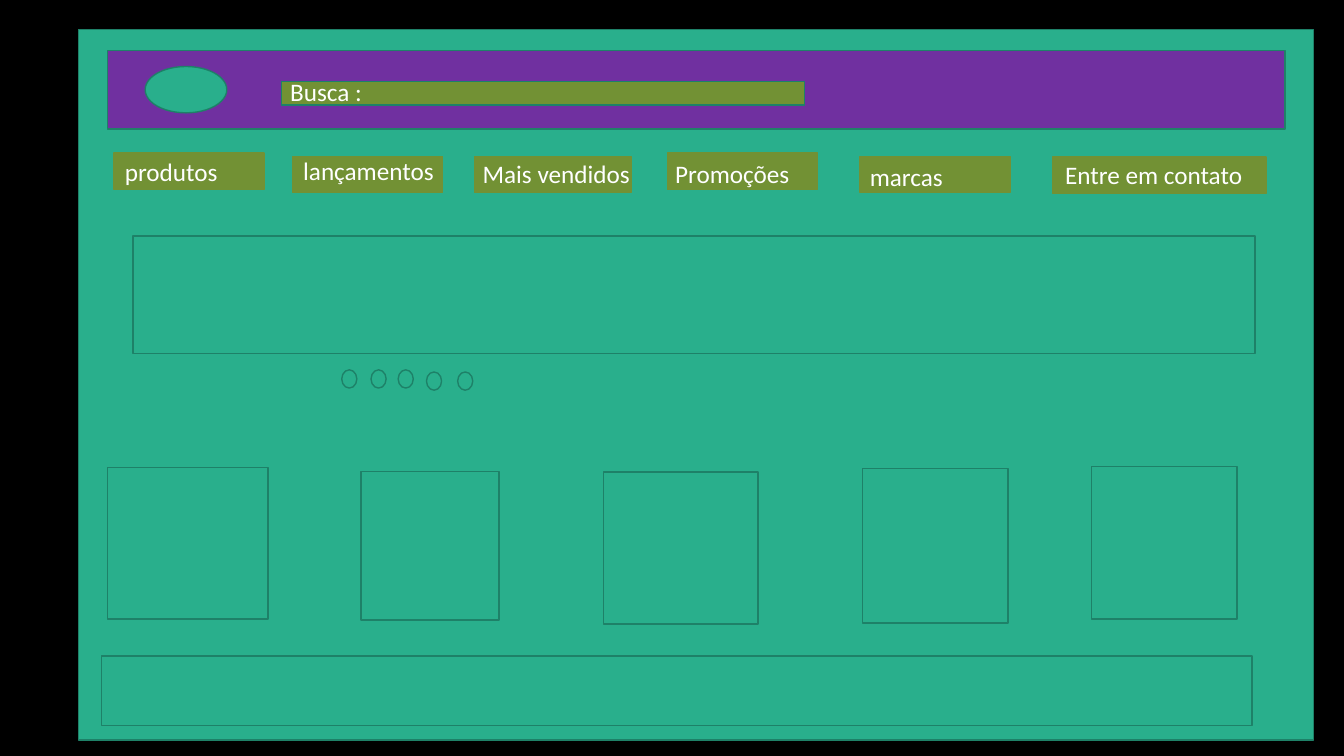
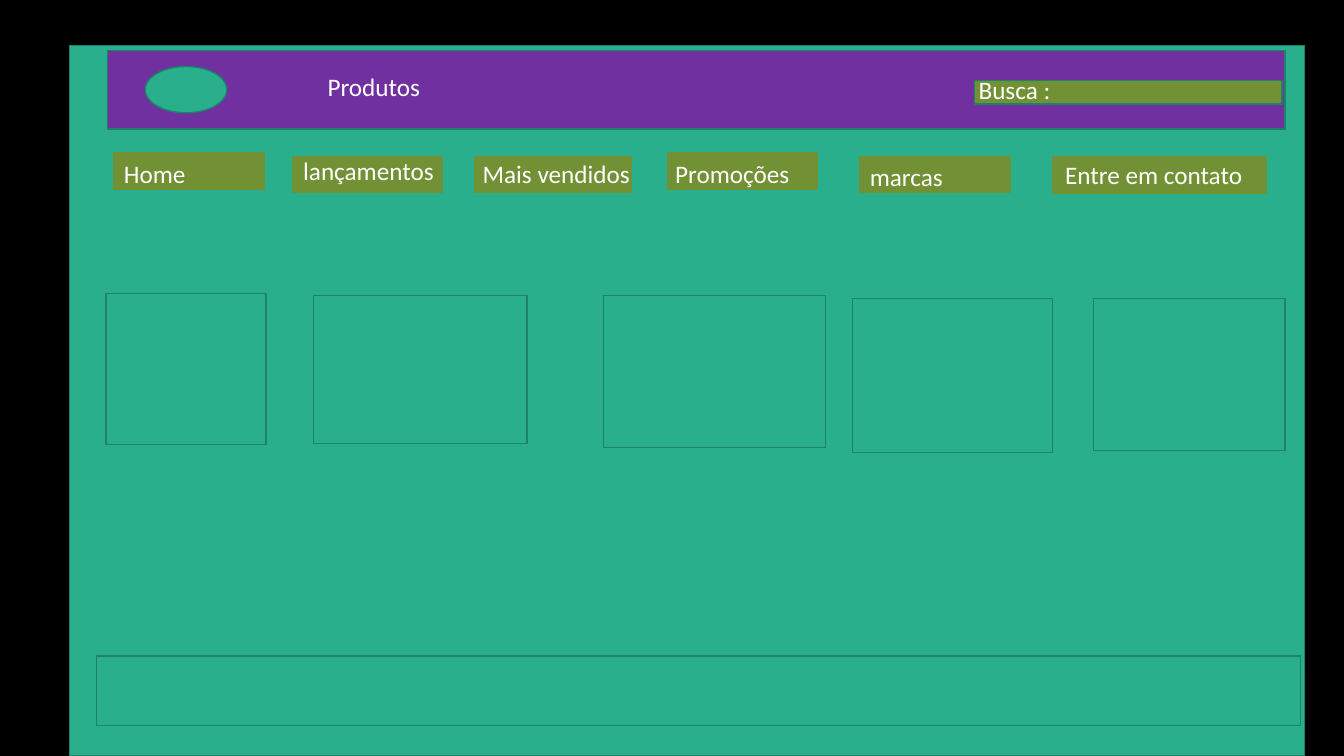
"""Build two wireframe pages of a web shop."""
from dataclasses import dataclass
from typing import Any, NamedTuple, Optional

from pptx import Presentation
from pptx.dml.color import RGBColor
from pptx.enum.shapes import MSO_SHAPE
from pptx.enum.text import MSO_ANCHOR, MSO_AUTO_SIZE, PP_ALIGN
from pptx.util import Pt

RECT, OVAL = MSO_SHAPE.RECTANGLE, MSO_SHAPE.OVAL
TOP, LEFT, GROW = MSO_ANCHOR.TOP, PP_ALIGN.LEFT, MSO_AUTO_SIZE.SHAPE_TO_FIT_TEXT
BLACK = RGBColor(0x00, 0x00, 0x00)
WHITE = RGBColor(0xFF, 0xFF, 0xFF)
GREEN = RGBColor(0x29, 0xAF, 0x8C)
EDGE = RGBColor(0x1E, 0x81, 0x68)
PURPLE = RGBColor(0x70, 0x30, 0xA0)
OLIVE = RGBColor(0x72, 0x91, 0x34)

FONT = {"name": "Calibri", "size": Pt(18), "bold": False}
FRAME = {"word_wrap": True, "vertical_anchor": TOP, "auto_size": GROW,
         "margin_left": Pt(7.2), "margin_right": Pt(7.2),
         "margin_top": Pt(3.6), "margin_bottom": Pt(3.6)}
TITLE_ONLY, BLANK = 5, 6
TAB_HIGH, TEXT_HIGH = 25.9, 28.8


class Box(NamedTuple):
    """Place and size in points."""
    x: float
    y: float
    w: float
    h: float


class Label(NamedTuple):
    """Words and their place."""
    text: str
    box: Box


class Tab(NamedTuple):
    """Menu button and its label."""
    x: float
    y: float
    w: float
    label: Label


@dataclass
class Page:
    """Parts that differ from page to page."""
    panel: Box
    first: Label
    search: Box
    hint: Box
    cards: list[Box]
    footer: Box
    title: Optional[Label] = None
    banner: Optional[Box] = None
    dots: tuple[Box, ...] = ()


HEADER = Box(77, 36, 841, 56.2)
LOGO = Box(103.7, 47.5, 58.3, 33.1)


def label(text: str, x: float, y: float, w: float) -> Label:
    """Return a label one line high."""
    return Label(text, Box(x, y, w, TEXT_HIGH))


MENU = [
    Tab(208.8, 111.6, 107.3, label("lançamentos", 209.5, 107.3, 113)),
    Tab(339.1, 111.6, 111.6, label("Mais vendidos", 337.7, 109.4, 141.8)),
    Tab(476.6, 109.4, 107.3, label("Promoções ", 475.2, 109.4, 108)),
    Tab(614.2, 111.6, 107.3, label("marcas", 614.2, 111.6, 105.1)),
    Tab(751.7, 112.3, 152.6, label("Entre em contato", 753.8, 110.2, 151.2)),
]

PAGES = [
    Page(
        panel=Box(56.2, 20.9, 882, 507.6),
        first=label("produtos", 82.1, 108, 107.3),
        search=Box(200.9, 58.3, 373.7, 16.6),
        hint=Box(200.2, 51.1, 373.7, TEXT_HIGH),
        cards=[Box(77, 334.1, 114.5, 108), Box(257.8, 337, 98.6, 105.8),
               Box(431.3, 337, 110.2, 108.7), Box(616.3, 334.8, 103.7, 110.2),
               Box(779.8, 333.4, 103.7, 108.7)],
        footer=Box(72.7, 468.7, 821.5, 49.7),
        banner=Box(95, 168.5, 801.4, 84.2),
        dots=tuple(Box(x, y, 10.8, 13) for x, y in (
            (244.1, 264.2), (265, 264.2), (284.4, 264.2),
            (304.6, 265.7), (326.9, 265.7))),
    ),
    Page(
        panel=Box(49.7, 32.4, 882, 507.6),
        first=label("Home", 81.4, 109.4, 107.3),
        search=Box(696.2, 57.6, 219.6, 16.6),
        hint=Box(691.9, 49.7, 223.9, TEXT_HIGH),
        cards=[Box(75.6, 209.5, 114.5, 108), Box(223.9, 211, 152.6, 105.8),
               Box(431.3, 211, 158.4, 108.7), Box(609.1, 213.1, 142.6, 110.2),
               Box(781.2, 213.1, 136.8, 108.7)],
        footer=Box(69.1, 468.7, 859.7, 49.7),
        title=label("Produtos", 226.8, 47.5, 363.6),
    ),
]


def apply(target: Any, values: dict[str, Any]) -> None:
    """Set each named value on the target."""
    for name, value in values.items():
        setattr(target, name, value)


def draw(slide: Any, box: Box, fill: RGBColor = GREEN,
         edge: RGBColor = EDGE, kind: Any = RECT) -> None:
    """Draw a filled shape with a thin edge."""
    shape = slide.shapes.add_shape(kind, *map(Pt, box))
    shape.shadow.inherit = False
    shape.fill.solid()
    shape.fill.fore_color.rgb = fill
    shape.line.color.rgb = edge
    shape.line.width = Pt(1)


def style(shape: Any, text: str) -> None:
    """Fill a shape with white text in the shared style."""
    frame = shape.text_frame
    frame.text = text
    apply(frame, FRAME)
    line = frame.paragraphs[0]
    apply(line, {"alignment": LEFT, "line_spacing": 1.0})
    font = line.runs[0].font
    apply(font, FONT)
    font.color.rgb = WHITE


def write(slide: Any, item: Label) -> None:
    """Add a text box."""
    style(slide.shapes.add_textbox(*map(Pt, item.box)), item.text)


def head(slide: Any, item: Label) -> None:
    """Place the title in front of the page."""
    title = slide.shapes.title
    apply(title, dict(zip(("left", "top", "width", "height"), map(Pt, item.box))))
    style(title, item.text)
    title.element.getparent().append(title.element)


def build(deck: Any, page: Page) -> None:
    """Build one page on a black ground."""
    layout = deck.slide_layouts[TITLE_ONLY if page.title else BLANK]
    slide = deck.slides.add_slide(layout)
    slide.background.fill.solid()
    slide.background.fill.fore_color.rgb = BLACK
    draw(slide, page.panel)
    draw(slide, HEADER, PURPLE)
    tabs = [Tab(81.4, 109.4, 107.3, page.first), *MENU]
    for tab in tabs:
        draw(slide, Box(tab.x, tab.y, tab.w, TAB_HIGH), OLIVE, OLIVE)
    draw(slide, LOGO, kind=OVAL)
    draw(slide, page.search, OLIVE)
    for card in page.cards:
        draw(slide, card)
    if page.banner:
        draw(slide, page.banner)
    for dot in page.dots:
        draw(slide, dot, kind=OVAL)
    for tab in tabs:
        write(slide, tab.label)
    write(slide, Label("Busca :", page.hint))
    draw(slide, page.footer)
    if page.title:
        head(slide, page.title)


def main() -> None:
    """Build and save the deck."""
    deck = Presentation()
    apply(deck, {"slide_width": Pt(960), "slide_height": Pt(540)})
    for page in PAGES:
        build(deck, page)
    deck.save("out.pptx")


main()
